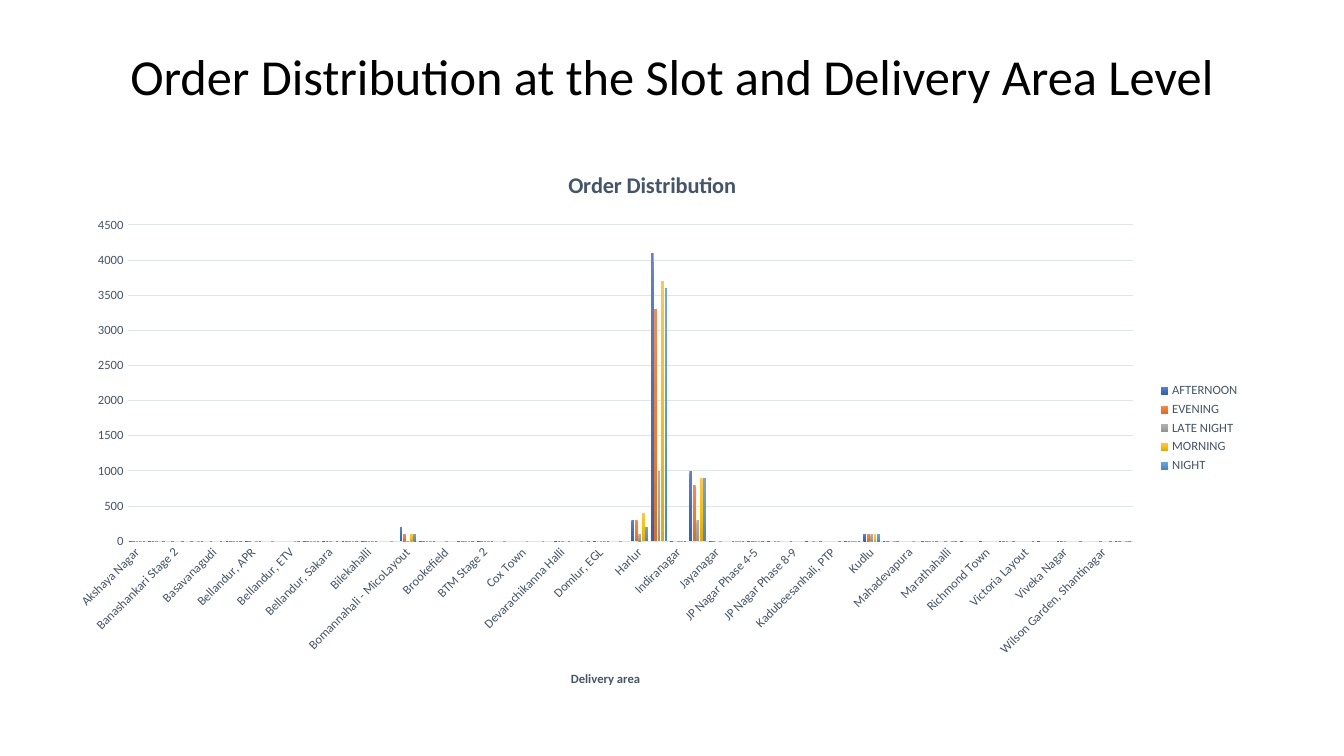
from pptx import Presentation
from pptx.chart.data import CategoryChartData
from pptx.dml.color import RGBColor
from pptx.enum.chart import XL_CHART_TYPE as ChartType, XL_LEGEND_POSITION as LegendPos
from pptx.enum.chart import XL_TICK_MARK as TickMark
from pptx.enum.text import MSO_ANCHOR as Anchor, PP_ALIGN as Align
from pptx.oxml import parse_xml
from pptx.oxml.ns import nsdecls, qn
from pptx.util import Pt

BLACK = RGBColor(0x00, 0x00, 0x00)
SLATE = RGBColor(0x44, 0x54, 0x6A)
PALE = RGBColor(0xE0, 0xE5, 0xEB)
FONT = "Calibri"
N = None

AREAS = [
    "Akshaya Nagar", "Arekere", "Banashankari Stage 2", "Bannerghatta", "Basavanagudi",
    "Bellandur - Off Sarjapur Road", "Bellandur, APR", "Bellandur, Ecospace", "Bellandur, ETV",
    "Bellandur, Green Glen", "Bellandur, Sakara", "Bellandur, Sarjapur Road", "Bilekahalli",
    "Binnipet", "Bomannahali - MicoLayout", "Bommanahalli", "Brookefield", "BTM Stage 1",
    "BTM Stage 2", "Challagatta", "Cox Town", "CV Raman Nagar", "Devarachikanna Halli",
    "Doddanekundi", "Domlur, EGL", "Frazer Town", "Harlur", "HSR Layout", "Indiranagar",
    "ITI Layout", "Jayanagar", "JP Nagar Phase 1-3", "JP Nagar Phase 4-5", "JP Nagar Phase 6-7",
    "JP Nagar Phase 8-9", "Kadubeesanhali, Pinnacle", "Kadubeesanhali, PTP",
    "Koramangala, Ejipura", "Kudlu", "Kumaraswamy Layout", "Mahadevapura", "Manipal County",
    "Marathahalli", "Pattandur", "Richmond Town", "Sarjapur Road", "Victoria Layout",
    "Vimanapura", "Viveka Nagar", "Whitefield", "Wilson Garden, Shantinagar", "Yemalur",
]

SLOTS = [
    ("AFTERNOON", ("6183CB", "3E70CA", "3062BB"),
     [0, 0, N, N, N, 0, 0, N, N, 0, 0, 0, 0, N, 200, 0, N, 0, 0, N, N, N, 0, N, 0, N,
      300, 4100, 0, 1000, 0, N, 0, 0, N, 0, N, 0, 100, 0, N, 0, N, 0, 0, 0, N, 0, 0, N, N, 0]),
    ("EVENING", ("F18C57", "F67B28", "E56C19"),
     [0, 0, 0, 0, 0, 0, 0, N, N, 0, 0, 0, 0, N, 100, 0, N, 0, 0, N, N, N, 0, N, N, N,
      300, 3300, N, 800, 0, 0, 0, N, 0, N, N, 0, 100, 0, N, 0, 0, N, N, 0, N, N, 0, 0, 0, 0]),
    ("LATE NIGHT", ("AFAFAF", "A5A5A5", "939393"),
     [0, 0, N, N, N, 0, N, 0, N, 0, 0, 0, 0, N, 0, 0, 0, 0, 0, 0, N, 0, 0, 0, 0, 0,
      100, 1000, 0, 300, N, 0, 0, 0, N, 0, N, 0, 100, N, N, 0, N, N, N, 0, N, N, 0, N, N, N]),
    ("MORNING", ("FFC64B", "FFC000", "E3AB00"),
     [0, N, N, 0, N, 0, 0, N, 0, 0, N, 0, 0, 0, 100, 0, N, 0, 0, N, 0, N, N, N, 0, N,
      400, 3700, 0, 900, 0, 0, 0, 0, N, N, N, 0, 100, 0, 0, 0, 0, N, N, N, N, N, N, N, N, 0]),
    ("NIGHT", ("71A6DB", "559BDB", "448ACA"),
     [0, 0, 0, 0, 0, 0, 0, N, 0, 0, 0, 0, 0, N, 100, 0, N, 0, 0, N, N, N, 0, 0, 0, N,
      200, 3600, 0, 900, N, 0, 0, N, N, 0, 0, 0, 100, 0, N, 0, 0, N, N, 0, 0, N, N, N, 0, 0]),
]


def style_font(font, size, color, bold=False):
    font.name = FONT
    font.size = Pt(size)
    font.bold = bold
    font.color.rgb = color


def add_run(frame, text, size, color, bold=False):
    run = frame.paragraphs[0].add_run()
    run.text = text
    style_font(run.font, size, color, bold)


deck = Presentation()
deck.slide_width, deck.slide_height = Pt(960), Pt(540)
slide = deck.slides.add_slide(deck.slide_layouts[6])

heading = slide.shapes.add_textbox(Pt(56.9), Pt(35.3), Pt(846.7), Pt(41.8)).text_frame
heading.word_wrap = True
heading.vertical_anchor = Anchor.MIDDLE
heading.paragraphs[0].alignment = Align.CENTER
heading.paragraphs[0].line_spacing = 0.9
add_run(heading, "Order Distribution at the Slot and Delivery Area Level", 36, BLACK)

orders = CategoryChartData()
orders.categories = AREAS
for slot, _, counts in SLOTS:
    orders.add_series(slot, counts)
chart = slide.shapes.add_chart(
    ChartType.COLUMN_CLUSTERED, Pt(38.9), Pt(106.6), Pt(853.9), Pt(398.2), orders).chart
style_font(chart.font, 10, BLACK)
chart.has_title = True
add_run(chart.chart_title.text_frame, "Order Distribution", 16, SLATE, True)
chart.chart_title.include_in_layout = False

chart.has_legend = True
chart.legend.position = LegendPos.RIGHT
chart.legend.include_in_layout = False
style_font(chart.legend.font, 9, SLATE)

area_axis, count_axis = chart.category_axis, chart.value_axis
for axis in (area_axis, count_axis):
    axis.major_tick_mark = axis.minor_tick_mark = TickMark.NONE
    style_font(axis.tick_labels.font, 9, SLATE)
area_axis.format.line.color.rgb = PALE
area_axis.format.line.width = Pt(0.75)
add_run(area_axis.axis_title.text_frame, "Delivery area", 9, SLATE, True)
count_axis.format.line.fill.background()
count_axis.minimum_scale, count_axis.maximum_scale = 0, 4500
count_axis.major_unit = 500
count_axis.major_gridlines.format.line.color.rgb = PALE
count_axis.major_gridlines.format.line.width = Pt(0.75)

bars = chart.plots[0]
bars.gap_width, bars.overlap = 100, -24
bars.vary_by_categories = False
for series, (_, shades, _) in zip(bars.series, SLOTS):
    series.invert_if_negative = False
    stops = "".join(
        f'<a:gs pos="{place * 50000}"><a:srgbClr val="{shade}"/></a:gs>'
        for place, shade in enumerate(shades))
    series.format.fill.background()
    props = series.format.fill._xPr
    props.replace(props.find(qn("a:noFill")), parse_xml(
        f'<a:gradFill {nsdecls("a")}><a:gsLst>{stops}</a:gsLst>'
        '<a:lin ang="5400000" scaled="0"/></a:gradFill>'))

deck.save("out.pptx")
